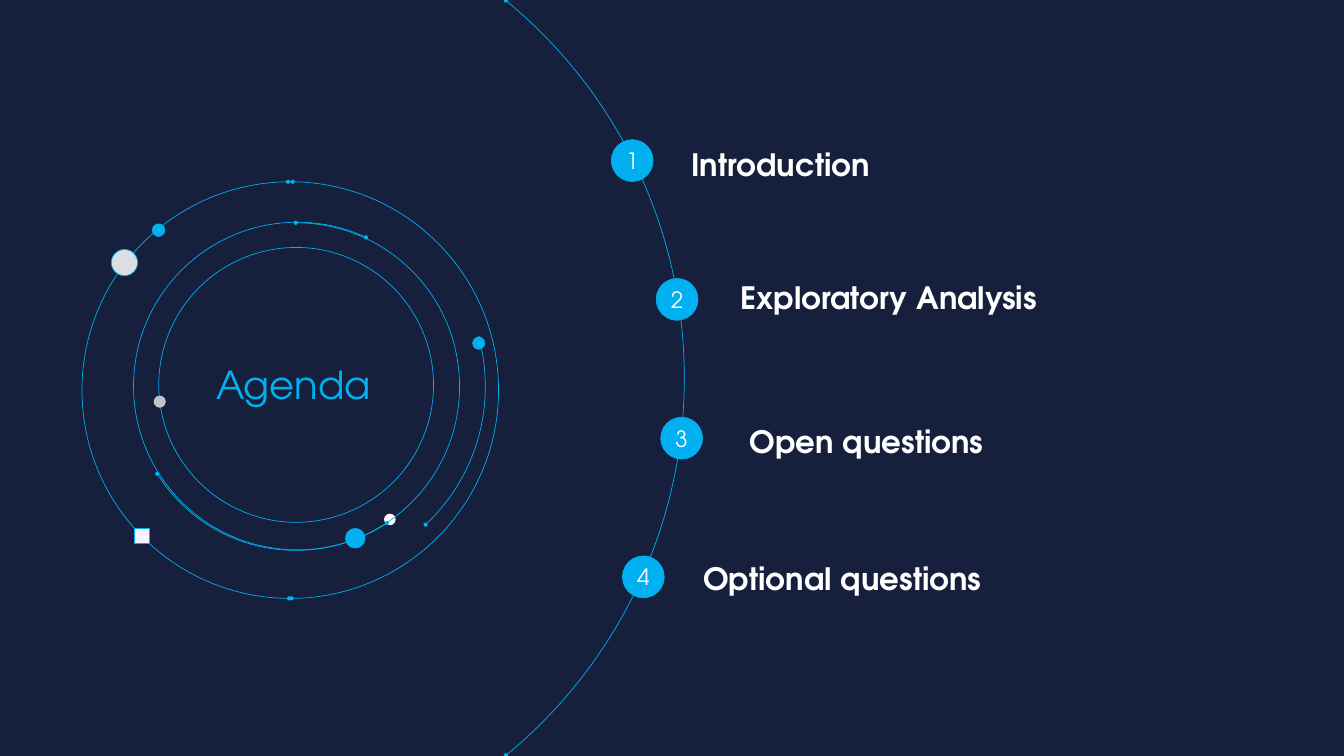
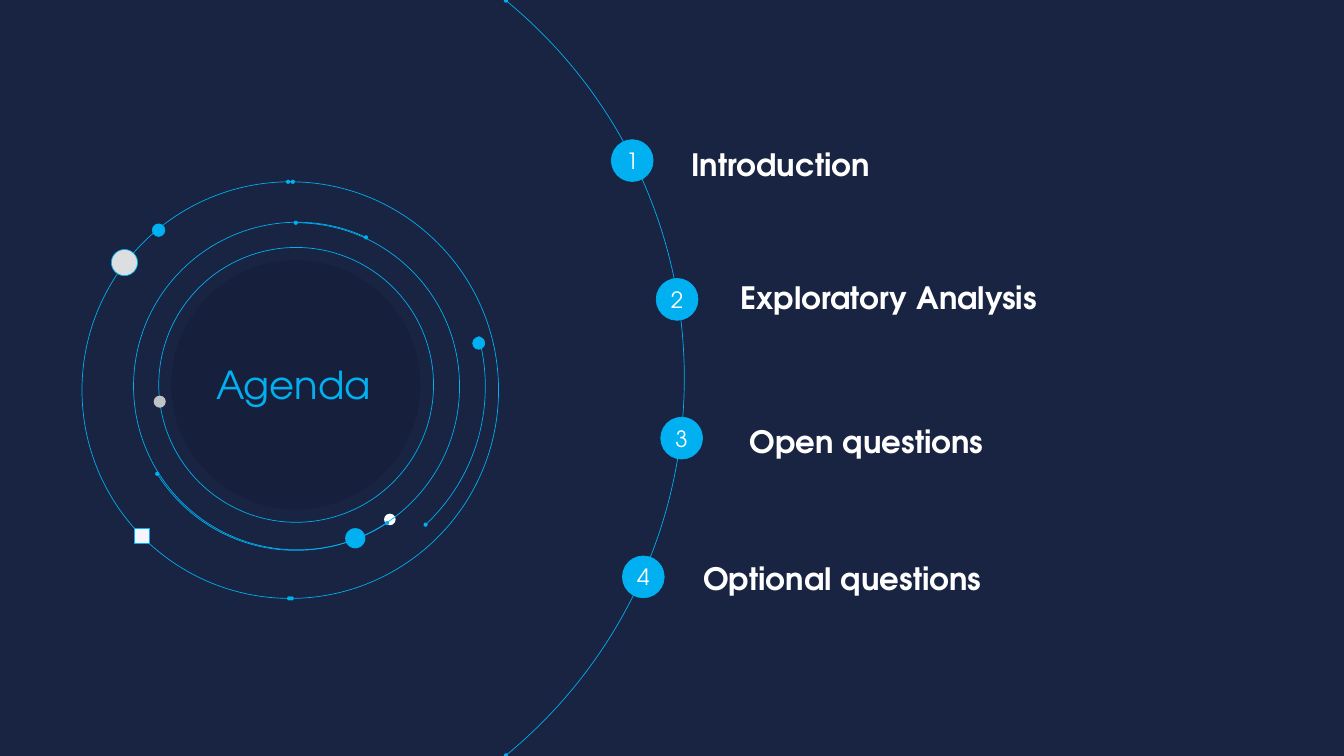
import math

import lxml.etree
import pptx
import pptx.dml.color
import pptx.enum.shapes
import pptx.enum.text
import pptx.oxml.ns
import pptx.util

RGB = pptx.dml.color.RGBColor
NAVY = RGB(0x16, 0x1F, 0x3C)
DUSK = RGB(0x19, 0x23, 0x42)
BLUE = RGB(0x00, 0xB0, 0xF0)
WHITE = RGB(0xFF, 0xFF, 0xFF)
PEARL = RGB(0xF7, 0xF4, 0xFF)
SILVER = RGB(0xDC, 0xDE, 0xE0)
GREY = RGB(0xC0, 0xC3, 0xC5)

OVAL = pptx.enum.shapes.MSO_SHAPE.OVAL
RECT = pptx.enum.shapes.MSO_SHAPE.RECTANGLE
ALIGN = pptx.enum.text.PP_ALIGN
FIT = pptx.enum.text.MSO_AUTO_SIZE
MIDDLE = pptx.enum.text.MSO_ANCHOR.MIDDLE

WIDE, HIGH = pptx.util.Inches(26.67), pptx.util.Inches(15)
ROWS = 45
CELL = HIGH / ROWS  # the grid has 80 columns and 45 rows of square cells
INSET = pptx.util.Inches(0.06)
TIGHT = dict.fromkeys(
    ("margin_left", "margin_top", "margin_right", "margin_bottom"), INSET)
FONT = {"name": "TeX Gyre Adventor"}

DIAL = (4.86, 10.83)  # column and row of each region's corner
LIST = (30.12, 0)

# Column of the number, then label with its column, row and width
ITEMS = [
    (7.52, "Introduction", 10.74, 8.55, 31.47),
    (10.19, "Exploratory Analysis", 13.68, 16.44, 30.18),
    (10.46, "Open questions", 14.19, 24.99, 31.47),
    (8.18, "Optional questions", 11.44, 33.15, 37.02),
]


def assign(item, values):
    for name, value in values.items():
        setattr(item, name, value)


def place(box, x, y, w, h):
    """Turn a centre and size in cells of a region into slide lengths."""
    cells = (box[0] + x - w / 2, box[1] + y - h / 2, w, h)
    return [round(cell * CELL) for cell in cells]


def outline(shape, color):
    if color is None:
        shape.line.fill.background()
    else:
        shape.line.color.rgb = color
        shape.line.width = pptx.util.Pt(1)


def write(shape, text, align, frame, size, color, bold=False):
    body = shape.text_frame
    assign(body, frame)
    para = body.paragraphs[0]
    para.text = text
    para.alignment = align
    assign(para.font, {**FONT, "size": pptx.util.Pt(size), "bold": bold})
    para.font.color.rgb = color


def mark(shapes, box, x, y, size, fill=None, line=None, kind=OVAL):
    """Draw a dot, ring or square about its centre."""
    shape = shapes.add_shape(kind, *place(box, x, y, size, size))
    shape.shadow.inherit = False
    if fill is None:
        shape.fill.background()
    else:
        shape.fill.solid()
        shape.fill.fore_color.rgb = fill
    outline(shape, line)
    return shape


def bend(shape):
    """Make one curve of every three straight segments of a freeform."""
    qn = pptx.oxml.ns.qn
    lines = list(shape.element.iter(qn("a:lnTo")))
    for first in range(0, len(lines), 3):
        trio = lines[first:first + 3]
        curve = lxml.etree.Element(qn("a:cubicBezTo"))
        trio[0].addprevious(curve)
        for line in trio:
            curve.append(line[0])
            line.getparent().remove(line)


def arc(shapes, box, x, y, radius, start, stop):
    """Draw an open arc, clockwise in degrees from the right, oval at its ends."""
    def spot(turn, reach=0.0):
        """Give the point at a turn, moved along the tangent by a share."""
        across = math.cos(turn) - reach * math.sin(turn)
        down = math.sin(turn) + reach * math.cos(turn)
        return (round((box[0] + x + radius * across) * CELL),
                round((box[1] + y + radius * down) * CELL))

    inner = [turn for turn in range(-360, 361, 90) if start < turn < stop]
    turns = [math.radians(turn) for turn in (start, *inner, stop)]
    points = []
    for one, two in zip(turns, turns[1:]):
        reach = 4 / 3 * math.tan((two - one) / 4)
        points += [spot(one, reach), spot(two, -reach), spot(two)]
    pen = shapes.build_freeform(*spot(turns[0]))
    pen.add_line_segments(points, close=False)
    shape = pen.convert_to_shape()
    bend(shape)
    shape.shadow.inherit = False
    shape.fill.background()
    outline(shape, BLUE)
    qn = pptx.oxml.ns.qn
    stroke = shape.element.find(".//" + qn("a:ln"))
    for end in ("a:headEnd", "a:tailEnd"):
        lxml.etree.SubElement(stroke, qn(end), type="oval")


def draw_rings(shapes, box):
    """Draw the ring about the title and the dots near it."""
    arc(shapes, box, 12.75, 12.18, 11.28, -14.7, 46.8)
    mark(shapes, box, 12.77, 12.08, 16.36, line=BLUE)
    for col, row, size, fill, line in [
        (16.29, 21.21, 1.2, BLUE, None),
        (4.65, 13.08, 0.72, GREY, None),
        (23.64, 9.6, 0.72, BLUE, BLUE),
        (18.35, 20.09, 0.69, WHITE, None),
    ]:
        mark(shapes, box, col, row, size, fill, line)


def draw_title(shapes, box):
    mark(shapes, box, 12.75, 12.08, 14.82, NAVY)
    title = shapes.title
    title.element.getparent().append(title.element)  # bring above the disc
    spot = place(box, 12.62, 12.06, 9.69, 3.12)
    assign(title, dict(zip(("left", "top", "width", "height"), spot)))
    title.fill.solid()
    title.fill.fore_color.rgb = NAVY
    write(title, "Agenda", ALIGN.CENTER,
          {**TIGHT, "word_wrap": False, "vertical_anchor": MIDDLE,
           "auto_size": FIT.SHAPE_TO_FIT_TEXT}, 55, BLUE)


def draw_orbit(shapes, box):
    """Draw the outer circle as two halves with three marks on it."""
    for start, stop in [(89.6, 270.7), (-90.6, 90.3)]:
        arc(shapes, box, 12.42, 12.39, 12.4, start, stop)
    mark(shapes, box, 4.58, 2.87, 0.75, BLUE, BLUE)
    mark(shapes, box, 3.6, 21.06, 0.9, PEARL, BLUE, RECT)
    mark(shapes, box, 2.55, 4.8, 1.56, SILVER, BLUE)


def draw_swirl(shapes, box):
    """Draw the two arcs that overlap around the ring."""
    arc(shapes, box, 12.75, 12.18, 9.75, -90, 147.8)
    arc(shapes, box, 12.84, 12.15, 9.75, 56.8, 294.8)


def draw_steps(shapes, box):
    """Draw the numbers down the wide arc at equal steps."""
    for index, item in enumerate(ITEMS):
        dot = mark(shapes, box, item[0], 9.56 + 8.26 * index, 2.49, BLUE, BLUE)
        write(dot, str(index + 1), ALIGN.CENTER,
              {**TIGHT, "vertical_anchor": MIDDLE, "word_wrap": True},
              32, WHITE)


def draw_labels(shapes, box):
    high = 2.52
    for _, text, col, row, width in ITEMS:
        spot = place(box, col + width / 2, row + high / 2, width, high)
        write(shapes.add_textbox(*spot), text, ALIGN.LEFT,
              {"word_wrap": True, "auto_size": FIT.SHAPE_TO_FIT_TEXT},
              44, WHITE, True)


def add_agenda(deck, ground):
    slide = deck.slides.add_slide(deck.slide_layouts.get_by_name("Title Only"))
    slide.background.fill.solid()
    slide.background.fill.fore_color.rgb = ground
    shapes = slide.shapes
    arc(shapes, LIST, -18.45, ROWS / 2, 29.07, -50.6, 50.6)
    draw_rings(shapes, DIAL)
    draw_steps(shapes, LIST)
    draw_title(shapes, DIAL)
    draw_labels(shapes, LIST)
    for draw in (draw_orbit, draw_swirl):
        draw(shapes.add_group_shape().shapes, DIAL)


def main():
    deck = pptx.Presentation()
    assign(deck, {"slide_width": WIDE, "slide_height": HIGH})
    for ground in (NAVY, DUSK):
        add_agenda(deck, ground)
    deck.save("out.pptx")


if __name__ == "__main__":
    main()
